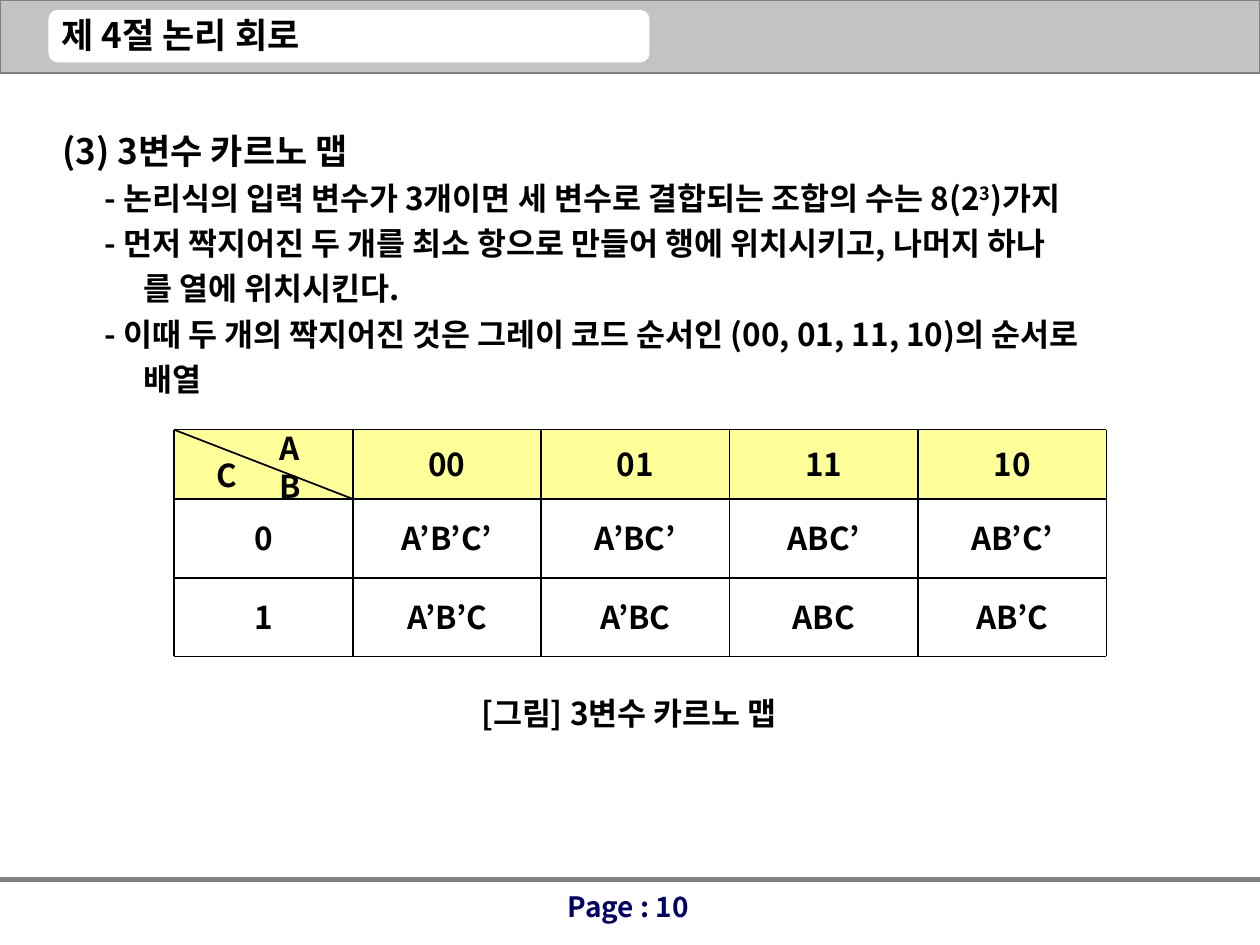
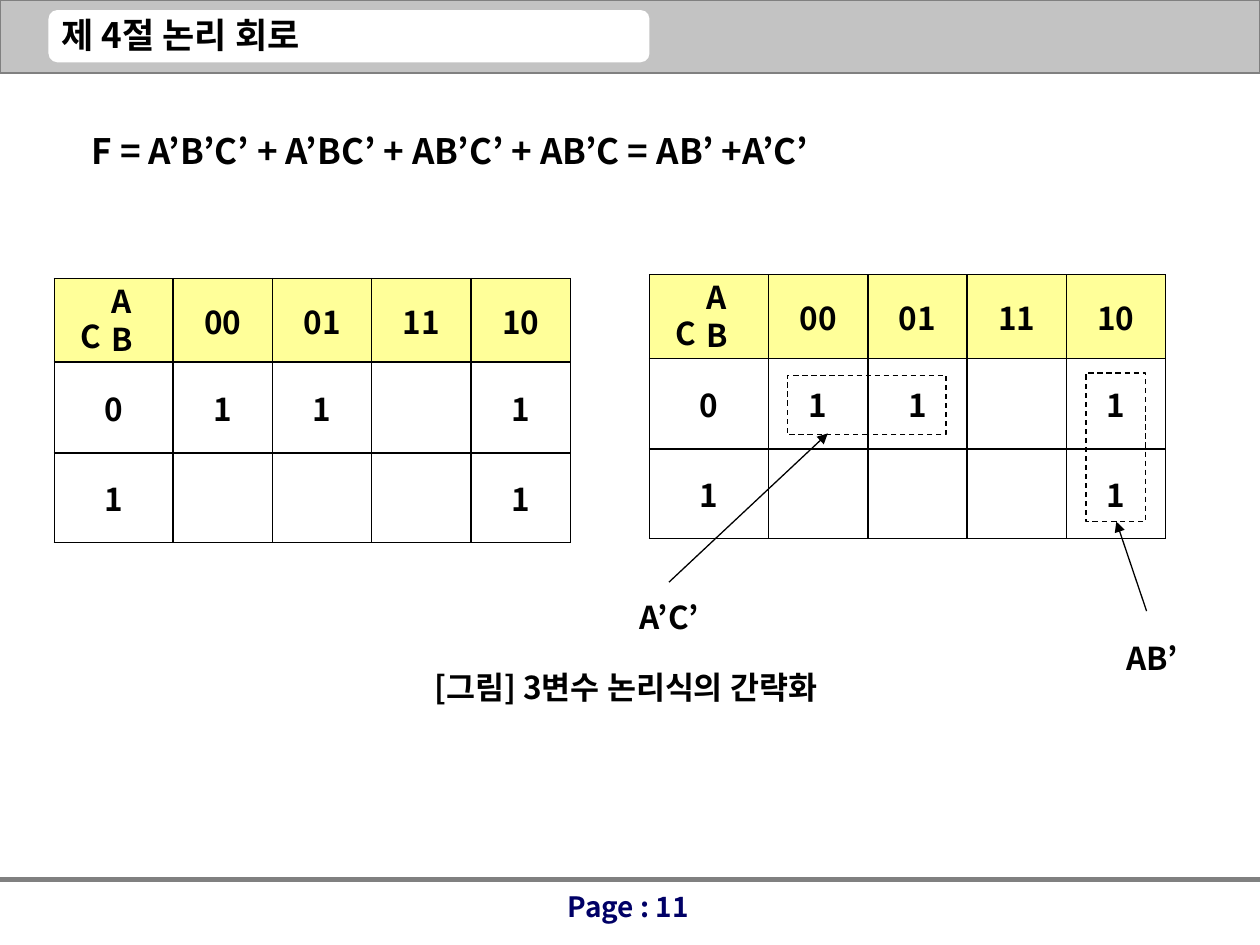
from itertools import accumulate

from lxml.etree import SubElement
from pptx import Presentation
from pptx.dml.color import RGBColor
from pptx.enum.dml import MSO_LINE
from pptx.enum.shapes import MSO_CONNECTOR, MSO_SHAPE
from pptx.enum.text import MSO_ANCHOR, MSO_AUTO_SIZE, PP_ALIGN
from pptx.oxml.ns import qn
from pptx.util import Inches, Pt

COLORS = {"ink": "000000", "band": "C3C3C3", "rule": "808080",
          "page": "000066", "header": "FFFF99", "paper": "FFFFFF"}
FONT = "Noto Sans CJK KR"
COLUMNS, ROWS = 100, 75  # grid over the whole slide
GRAY_CODE = ["00", "01", "11", "10"]


def color(name):
    return RGBColor.from_string(COLORS[name])


def apply(target, values):
    for name, value in values.items():
        setattr(target, name, value)


def map_rows(values):
    """Head the value rows with AB in Gray code and lead them with C."""
    return [["", *GRAY_CODE], ["0", *values[0]], ["1", *values[1]]]


class Deck:
    def __init__(self):
        self.presentation = Presentation()
        apply(self.presentation, {"slide_width": Inches(10), "slide_height": Inches(7.5)})
        self.slide = None

    def x(self, columns):
        return round(self.presentation.slide_width * columns / COLUMNS)

    def y(self, rows):
        return round(self.presentation.slide_height * rows / ROWS)

    def box(self, left, top, width, height):
        return self.x(left), self.y(top), self.x(width), self.y(height)

    def new_slide(self, page):
        """Add a slide with the title band and the page footer."""
        self.slide = self.presentation.slides.add_slide(self.presentation.slide_layouts[6])
        self.line((0.1, 5.6), (COLUMNS, 5.6), width=3)
        self.shape((0, 0, COLUMNS, 5.8), fill="band", line="rule")
        self.line((0, 69.8), (COLUMNS, 69.8), "rule", 3)
        plate = self.shape((3.85, 0.8, 47.7, 4.15), MSO_SHAPE.ROUNDED_RECTANGLE, fill="paper")
        plate.adjustments[0] = 0.17
        self.text((3.9, 0.6, 22.6, 4.3), "제 4절 논리 회로", size=20)
        self.text((38.2, 70.1, 23.3, 5.2), f"Page : {page}", size=16, ink="page",
                  align=PP_ALIGN.CENTER, wrap=True)

    def shape(self, box, kind=MSO_SHAPE.RECTANGLE, fill=None, line=None, dash=None):
        shape = self.slide.shapes.add_shape(kind, *self.box(*box))
        shape.shadow.inherit = False
        if fill:
            shape.fill.solid()
            shape.fill.fore_color.rgb = color(fill)
        else:
            shape.fill.background()
        if line:
            shape.line.color.rgb = color(line)
            apply(shape.line, {"width": Pt(0.75), "dash_style": dash})
        else:
            shape.line.fill.background()
        return shape

    def line(self, start, end, ink="ink", width=0.75, arrow=False):
        connector = self.slide.shapes.add_connector(
            MSO_CONNECTOR.STRAIGHT, self.x(start[0]), self.y(start[1]),
            self.x(end[0]), self.y(end[1]))
        connector.line.color.rgb = color(ink)
        connector.line.width = Pt(width)
        if arrow:
            SubElement(connector.line._get_or_add_ln(), qn("a:headEnd"), type="triangle")
        SubElement(connector._element.spPr, qn("a:effectLst"))

    def run(self, paragraph, text, size=18, ink="ink", baseline=0):
        run = paragraph.add_run()
        run.text = text
        apply(run.font, {"size": Pt(size), "bold": True, "name": FONT})
        run.font.color.rgb = color(ink)
        if baseline:
            run._r.get_or_add_rPr().set("baseline", str(baseline * 1000))

    def text(self, box, text, size=18, ink="ink", align=PP_ALIGN.LEFT, wrap=False,
             spacing=None, anchor=MSO_ANCHOR.TOP):
        frame = self.slide.shapes.add_textbox(*self.box(*box)).text_frame
        apply(frame, {"word_wrap": wrap, "vertical_anchor": anchor, "auto_size":
                      MSO_AUTO_SIZE.NONE if wrap else MSO_AUTO_SIZE.SHAPE_TO_FIT_TEXT})
        paragraph = frame.paragraphs[0]
        apply(paragraph, {"alignment": align, "line_spacing": spacing})
        self.run(paragraph, text, size, ink)
        return frame

    def outline(self, frame, lines):
        """Add lines of (indent in columns, runs) below the heading of a frame."""
        for indent, runs in lines:
            paragraph = frame.add_paragraph()
            paragraph.line_spacing = 1.2
            paragraph._p.get_or_add_pPr().set("marL", str(self.x(indent)))
            for text, baseline in runs:
                self.run(paragraph, text, baseline=baseline)

    def borders(self, cell, widths):
        properties = cell._tc.get_or_add_tcPr()
        for index, (side, width) in enumerate(widths.items()):
            line = SubElement(properties, qn(f"a:ln{side}"), w=str(Pt(width)))
            fill = SubElement(line, qn("a:solidFill"))
            SubElement(fill, qn("a:srgbClr"), val=COLORS["ink"])
            properties.insert(index, line)

    def corner_names(self, left, top, c_offset, ab_offset):
        """Name the variables in a map's corner; the narrow box stacks A over B."""
        self.text((left + c_offset[0], top + c_offset[1], 3.8, 4), "C")
        self.text((left + ab_offset[0], top + ab_offset[1], 4, 7), "AB", wrap=True)

    def table_map(self, left, top, widths, heights, values):
        """Set a Karnaugh map as a table."""
        rows = map_rows(values)
        table = self.slide.shapes.add_table(
            len(rows), len(widths), *self.box(left, top, sum(widths), sum(heights))).table
        for column, width in zip(table.columns, widths):
            column.width = self.x(width)
        for row, height in zip(table.rows, heights):
            row.height = self.y(height)
        last_row, last_column = len(rows) - 1, len(widths) - 1
        for i, row in enumerate(rows):
            for j, value in enumerate(row):
                cell = table.cell(i, j)
                cell.vertical_anchor = MSO_ANCHOR.MIDDLE
                if i == 0:
                    cell.fill.solid()
                    cell.fill.fore_color.rgb = color("header")
                else:
                    cell.fill.background()
                outer = {"L": j == 0, "R": j == last_column, "T": i == 0, "B": i == last_row}
                self.borders(cell, {side: 0.75 if edge else 1 for side, edge in outer.items()})
                paragraph = cell.text_frame.paragraphs[0]
                paragraph.alignment = PP_ALIGN.CENTER
                if value:
                    self.run(paragraph, value)

    def ruled_map(self, left, top, widths, heights, values):
        """Draw a Karnaugh map with a split corner from boxes and rules."""
        xs = list(accumulate(widths, initial=left))
        ys = list(accumulate(heights, initial=top))
        for i, row in enumerate(map_rows(values)):
            for j, value in enumerate(row):
                box = (xs[j], ys[i], widths[j], heights[i])
                if i > 0:
                    self.text(box, value, align=PP_ALIGN.CENTER, wrap=True,
                              anchor=MSO_ANCHOR.MIDDLE)
                    continue
                frame = self.shape(box, fill="header").text_frame
                frame.vertical_anchor = MSO_ANCHOR.MIDDLE
                frame.paragraphs[0].alignment = PP_ALIGN.CENTER
                if value:
                    self.run(frame.paragraphs[0], value)
        right, bottom = xs[-1], ys[-1]
        # Outer rules; top and left break at the corner cell
        for start, end in [((left, top), (xs[1], top)), ((xs[1], top), (right, top)),
                           ((left, top), (left, ys[1])), ((left, ys[1]), (left, bottom)),
                           ((right, top), (right, bottom)), ((left, bottom), (right, bottom))]:
            self.line(start, end)
        # Inner rules and the corner's diagonal
        for y in ys[1:-1]:
            self.line((left, y), (right, y), width=1)
        for x in xs[1:-1]:
            self.line((x, top), (x, bottom), width=1)
        self.line((left, top), (xs[1], ys[1]), width=1)


def three_variable_map(deck):
    deck.new_slide(10)
    frame = deck.text((2.7, 9.1, 93.7, 23.1), "(3) 3변수 카르노 맵", size=20, wrap=True, spacing=1.2)
    frame.paragraphs[0]._p.get_or_add_pPr().set("marL", str(deck.x(1.3)))
    item, continuation = 4.6, 7.7
    deck.outline(frame, [
        (item, [("- 논리식의 입력 변수가 3개이면 세 변수로 결합되는 조합의 수는 8(2", 0),
                ("3", 30), (")가지", 0)]),
        (item, [("- 먼저 짝지어진 두 개를 최소 항으로 만들어 행에 위치시키고, 나머지 하나", 0)]),
        (continuation, [("를 열에 위치시킨다.", 0)]),
        (item, [("- 이때 두 개의 짝지어진 것은 그레이 코드 순서인 (00, 01, 11, 10)의 순서로", 0)]),
        (continuation, [("배열", 0)]),
    ])
    left, top = 13.8, 34.1
    minterms = [["A’B’C’", "A’BC’", "ABC’", "AB’C’"], ["A’B’C", "A’BC", "ABC", "AB’C"]]
    deck.ruled_map(left, top, [14.2] + [14.95] * 4, [5.5, 6.25, 6.25], minterms)
    deck.corner_names(left, top, (2.4, 1.6), (7.4, -0.5))
    deck.text((37.2, 54.6, 27.9, 4), "[그림] 3변수 카르노 맵")


def simplification(deck):
    deck.new_slide(11)
    deck.text((6.3, 9.1, 93.7, 5), "F = A’B’C’ + A’BC’ + AB’C’ + AB’C = AB’ +A’C’",
              size=20, wrap=True, spacing=1.2)
    deck.text((33.5, 52.5, 35.3, 4), "[그림] 3변수 논리식의 간략화")
    # The same map before and after grouping
    ones = [["1", "1", "", "1"], ["", "", "", "1"]]
    for left, top in [(4.3, 22.1), (51.55, 21.8)]:
        deck.table_map(left, top, [9.45] + [7.88] * 4, [6.65, 7.2, 7.1], ones)
        deck.corner_names(left, top, (1.1, 2.6), (3.55, -0.2))
    # Each group: dashed frame, arrow from its term, term
    groups = [((62.5, 29.8, 12.6, 4.7), (65.7, 34.4), (53.1, 46.2), (49.8, 47, 7, 4), "A’C’"),
              ((86.2, 29.6, 4.7, 11.8), (88.6, 41.4), (91, 48.5), (88.4, 50.2, 6.1, 4), "AB’")]
    for frame, tip, start, label, term in groups:
        deck.shape(frame, line="ink", dash=MSO_LINE.DASH)
        deck.line(tip, start, arrow=True)
        deck.text(label, term)


def main():
    deck = Deck()
    three_variable_map(deck)
    simplification(deck)
    deck.presentation.save("out.pptx")


if __name__ == "__main__":
    main()
